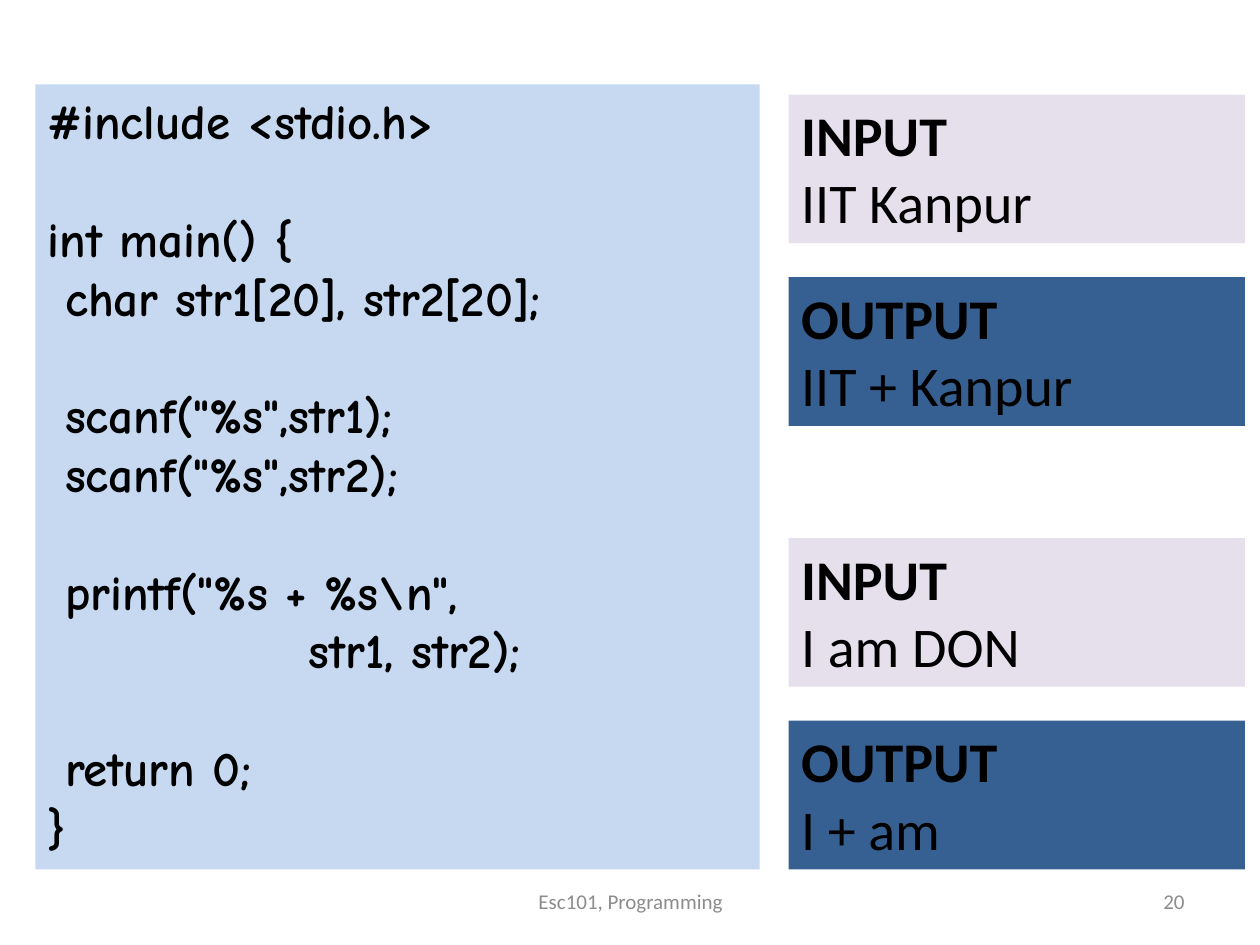
"""Build a slide showing a scanf program beside two sample runs."""
from pptx import Presentation
from pptx.dml.color import RGBColor
from pptx.enum.shapes import MSO_SHAPE as Shape
from pptx.enum.text import MSO_ANCHOR as Anchor, PP_ALIGN as Align
from pptx.util import Inches, Pt

COLORS = {"code": "C6D9F1", "INPUT": "E6E0EC", "OUTPUT": "376092",
          "text": "000000", "footer": "8C8C8C"}
CODE_BLOCKS = [
    ["#include <stdio.h>"],
    ["int main() {", " char str1[20], str2[20];"],
    [' scanf("%s",str1);', ' scanf("%s",str2);'],
    [' printf("%s + %s\\n",', "               str1, str2);"],
    [" return 0;", "}"],
]
RUNS = [
    [("INPUT", "IIT Kanpur"), ("OUTPUT", "IIT + Kanpur")],
    [("INPUT", "I am DON"), ("OUTPUT", "I + am")],
]
FOOTERS = [("20", 7.17, 2.33, Align.RIGHT),
           ("Esc101, Programming", 3.42, 3.17, Align.CENTER)]
CODE_SIZE = 28
CODE_LINE = 33.6
RUN_TOP, RUN_STEP, PANEL_STEP = 0.75, 3.52, 1.45


def style(para, name, size, color, bold=False, align=Align.LEFT):
    para.alignment = align
    for span in para.runs:
        span.font.name = name
        span.font.size = Pt(size)
        span.font.bold = bold
        span.font.color.rgb = RGBColor.from_string(COLORS[color])


def add_panel(page, bounds, fill, lines):
    panel = page.shapes.add_shape(Shape.RECTANGLE, *map(Inches, bounds))
    panel.shadow.inherit = False
    panel.fill.solid()
    panel.fill.fore_color.rgb = RGBColor.from_string(COLORS[fill])
    panel.line.fill.background()
    frame = panel.text_frame
    frame.word_wrap = True
    frame.vertical_anchor = Anchor.TOP
    frame.text = "\n".join(lines)
    return frame.paragraphs


def add_code(page):
    lines = [line for block in CODE_BLOCKS for line in block]
    block_starts = [block[0] for block in CODE_BLOCKS[1:]]
    for para in add_panel(page, (0.28, 0.67, 5.75, 6.23), "code", lines):
        style(para, "Comic Neue", CODE_SIZE, "text", bold=True)
        if para.text in block_starts:
            para.space_before = Pt(CODE_LINE)


def add_runs(page):
    for run_index, panels in enumerate(RUNS):
        for panel_index, (title, value) in enumerate(panels):
            top = RUN_TOP + run_index * RUN_STEP + panel_index * PANEL_STEP
            heading, body = add_panel(page, (6.26, top, 3.62, 1.18), title, [title, value])
            style(heading, "Calibri", 32, "text", bold=True)
            style(body, "Calibri", 32, "text")


def add_footers(page):
    for text, left, width, align in FOOTERS:
        box = page.shapes.add_textbox(*map(Inches, (left, 6.95, width, 0.4)))
        frame = box.text_frame
        frame.word_wrap = True
        frame.vertical_anchor = Anchor.MIDDLE
        frame.text = text
        style(frame.paragraphs[0], "Calibri", 12, "footer", align=align)


def main():
    deck = Presentation()
    deck.slide_width, deck.slide_height = Inches(10), Inches(7.5)
    page = deck.slides.add_slide(deck.slide_layouts[6])
    add_footers(page)
    add_code(page)
    add_runs(page)
    deck.save("out.pptx")


if __name__ == "__main__":
    main()
